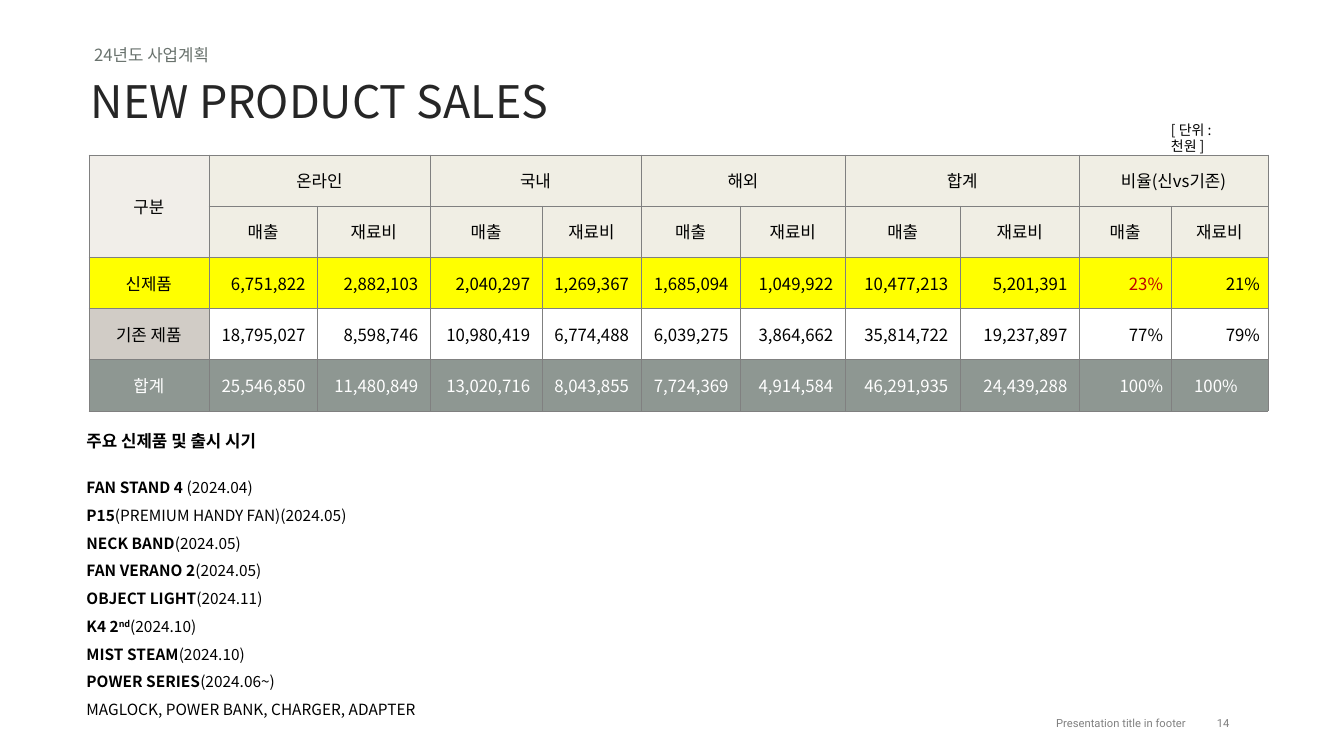
from lxml import etree
from pptx import Presentation
from pptx.dml.color import RGBColor
from pptx.enum.text import MSO_ANCHOR, PP_ALIGN
from pptx.oxml.ns import qn
from pptx.util import Cm, Pt

LEFT, CENTER, RIGHT = PP_ALIGN.LEFT, PP_ALIGN.CENTER, PP_ALIGN.RIGHT
TOP, MIDDLE = MSO_ANCHOR.TOP, MSO_ANCHOR.MIDDLE
SANS, FOOTER_FONT = "Noto Sans CJK KR", "Roboto"
COLORS = {
    "black": "000000", "white": "FFFFFF", "title": "262626", "kicker": "69726D",
    "gray": "808080", "red": "C00000", "corner": "F1EEE9", "header": "F0EEE4",
    "yellow": "FFFF00", "label": "D1CCC6", "total": "8E9792",
}


def write(paragraph, text, size=12, color="black", bold=False, font=SANS, align=LEFT, raised=False):
    paragraph.alignment = align
    span = paragraph.add_run()
    span.text = text
    span.font.name = font
    span.font.size = Pt(size)
    span.font.bold = bold
    span.font.color.rgb = RGBColor.from_string(COLORS[color])
    properties = span.font._element
    etree.SubElement(properties, qn("a:ea")).set("typeface", font)
    if raised:
        properties.set("baseline", "30000")


def add_box(left, top, width, height, side=0.25, edge=0.13, anchor=TOP):
    frame = page.shapes.add_textbox(Cm(left), Cm(top), Cm(width), Cm(height)).text_frame
    frame.word_wrap = True
    frame.vertical_anchor = anchor
    frame.margin_left = frame.margin_right = Cm(side)
    frame.margin_top = frame.margin_bottom = Cm(edge)
    return frame


deck = Presentation()
deck.slide_width, deck.slide_height = Cm(33.87), Cm(19.05)
page = deck.slides.add_slide(deck.slide_layouts[6])

# Headings, unit note and footer
write(add_box(2.24, 0.99, 10.16, 0.76, side=0.13).paragraphs[0], "24년도 사업계획", color="kicker")
write(add_box(2.16, 1.73, 22.91, 1.63, side=0.13).paragraphs[0], "NEW PRODUCT SALES", size=32, color="title")
write(add_box(29.26, 2.92, 2.44, 0.69).paragraphs[0], "[ 단위 : 천원 ]", size=10)
for left, width, text, align in [
    (21.69, 8.2, "Presentation title in footer", RIGHT),
    (29.9, 1.85, "14", CENTER),
]:
    footer = add_box(left, 17.83, width, 0.79, side=0, edge=0, anchor=MIDDLE)
    write(footer.paragraphs[0], text, size=8, color="gray", font=FOOTER_FONT, align=align)

# Sales table
COLUMN_WIDTHS = [3.02, 2.74, 2.84, 2.82, 2.49, 2.51, 2.64, 2.9, 3, 2.31, 2.44]
ROW_HEIGHT = 1.29
GROUPS = ["온라인", "국내", "해외", "합계", "비율(신vs기존)"]
ROWS = [
    ["구분"] + [text for group in GROUPS for text in (group, "")],
    [""] + ["매출", "재료비"] * len(GROUPS),
    ["신제품", "6,751,822", "2,882,103", "2,040,297", "1,269,367", "1,685,094",
     "1,049,922", "10,477,213", "5,201,391", "23%", "21%"],
    ["기존 제품", "18,795,027", "8,598,746", "10,980,419", "6,774,488", "6,039,275",
     "3,864,662", "35,814,722", "19,237,897", "77%", "79%"],
    ["합계", "25,546,850", "11,480,849", "13,020,716", "8,043,855", "7,724,369",
     "4,914,584", "46,291,935", "24,439,288", "100%", "100%"],
]
# Fill of the first column, then of the other columns
ROW_FILLS = [("corner", "header"), ("corner", "header"), ("yellow", "yellow"),
             ("label", "white"), ("total", "total")]
HEADER_ROWS, TOTAL_ROW, LAST_COLUMN = 2, len(ROWS) - 1, len(COLUMN_WIDTHS) - 1

table = page.shapes.add_table(
    len(ROWS), len(COLUMN_WIDTHS), Cm(2.24), Cm(3.9),
    Cm(sum(COLUMN_WIDTHS)), Cm(ROW_HEIGHT * len(ROWS))).table
table.first_row = table.horz_banding = False
for column, width in zip(table.columns, COLUMN_WIDTHS):
    column.width = Cm(width)
for row in table.rows:
    row.height = Cm(ROW_HEIGHT)
table.cell(0, 0).merge(table.cell(1, 0))
for first in range(1, LAST_COLUMN, 2):
    table.cell(0, first).merge(table.cell(0, first + 1))

for r, values in enumerate(ROWS):
    for c, text in enumerate(values):
        cell = table.cell(r, c)
        is_number = r >= HEADER_ROWS and c > 0
        cell.vertical_anchor = MIDDLE
        cell.margin_left = cell.margin_top = cell.margin_bottom = cell.margin_right = 0
        if is_number:
            cell.margin_right = Cm(0.2 if "%" in text else 0.3)
        cell.fill.solid()
        cell.fill.fore_color.rgb = RGBColor.from_string(COLORS[ROW_FILLS[r][c > 0]])
        if text:
            color = "white" if r == TOTAL_ROW else "red" if text == "23%" else "black"
            write(cell.text_frame.paragraphs[0], text, color=color, align=RIGHT if is_number else CENTER)
        # Thin gray border on each side
        properties = cell._tc.get_or_add_tcPr()
        for position, side in enumerate(["a:lnL", "a:lnR", "a:lnT", "a:lnB"]):
            border = etree.Element(qn(side), w=str(Pt(0.25)))
            solid = etree.SubElement(border, qn("a:solidFill"))
            etree.SubElement(solid, qn("a:srgbClr"), val=COLORS["gray"])
            properties.insert(position, border)
table.cell(TOTAL_ROW, LAST_COLUMN).margin_right = Cm(0.76)

# New products and launch dates: bold name, raised suffix, plain detail
LAUNCHES = [
    ("FAN STAND 4", "", " (2024.04)"),
    ("P15", "", "(PREMIUM HANDY FAN)(2024.05)"),
    ("NECK BAND", "", "(2024.05)"),
    ("FAN VERANO 2", "", "(2024.05)"),
    ("OBJECT LIGHT", "", "(2024.11)"),
    ("K4 2", "nd", "(2024.10)"),
    ("MIST STEAM", "", "(2024.10)"),
    ("POWER SERIES", "", "(2024.06~)"),
    ("", "", "MAGLOCK, POWER BANK, CHARGER, ADAPTER"),
]
launch_frame = add_box(1.93, 10.72, 11.35, 7.49)
write(launch_frame.paragraphs[0], "주요 신제품 및 출시 시기", bold=True)
launch_frame.paragraphs[0].space_after = Pt(13)
for name, suffix, detail in LAUNCHES:
    paragraph = launch_frame.add_paragraph()
    paragraph.line_spacing = 1.5
    for text, bold, raised in [(name, True, False), (suffix, True, True), (detail, False, False)]:
        if text:
            write(paragraph, text, size=11, bold=bold, raised=raised)

deck.save("out.pptx")
